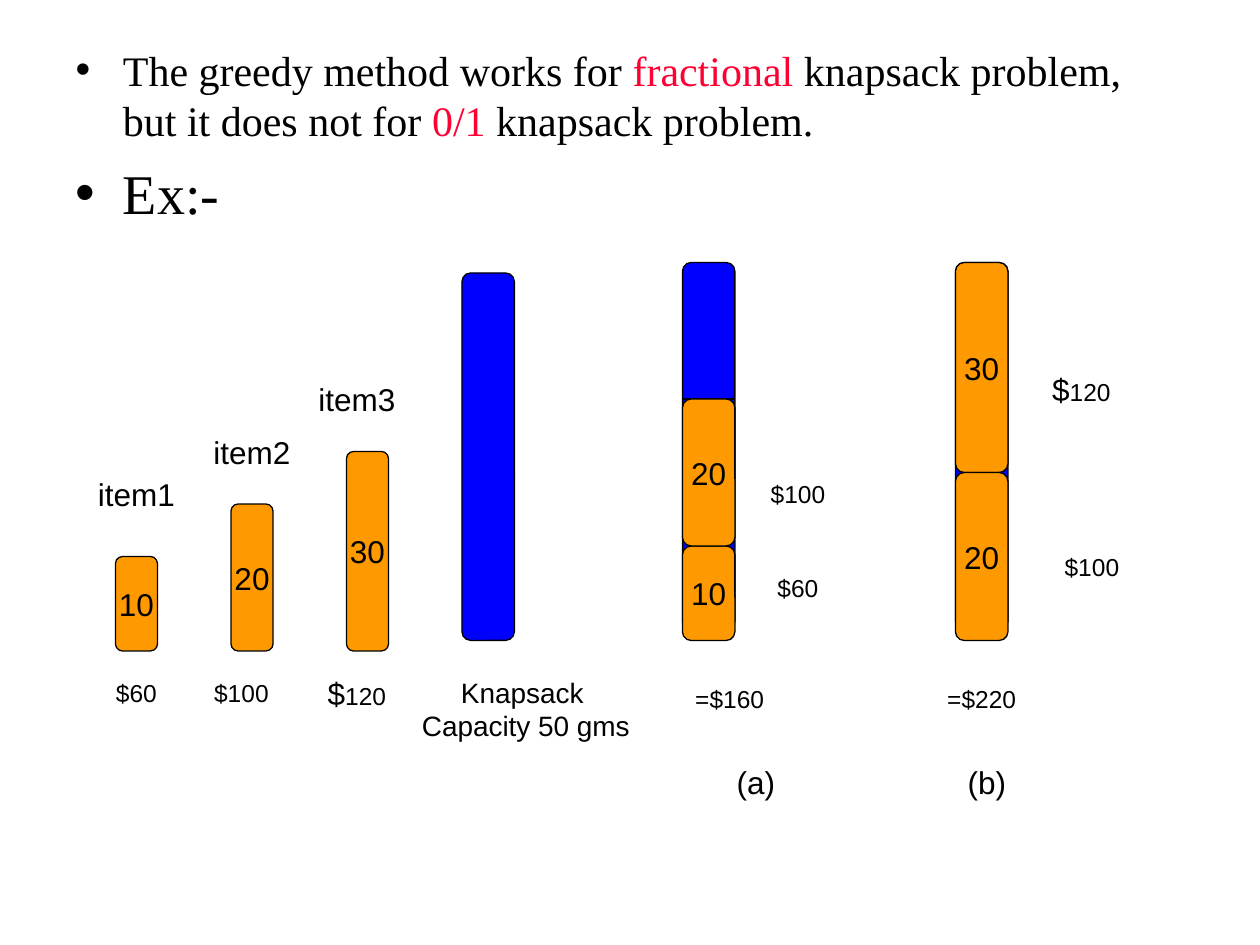
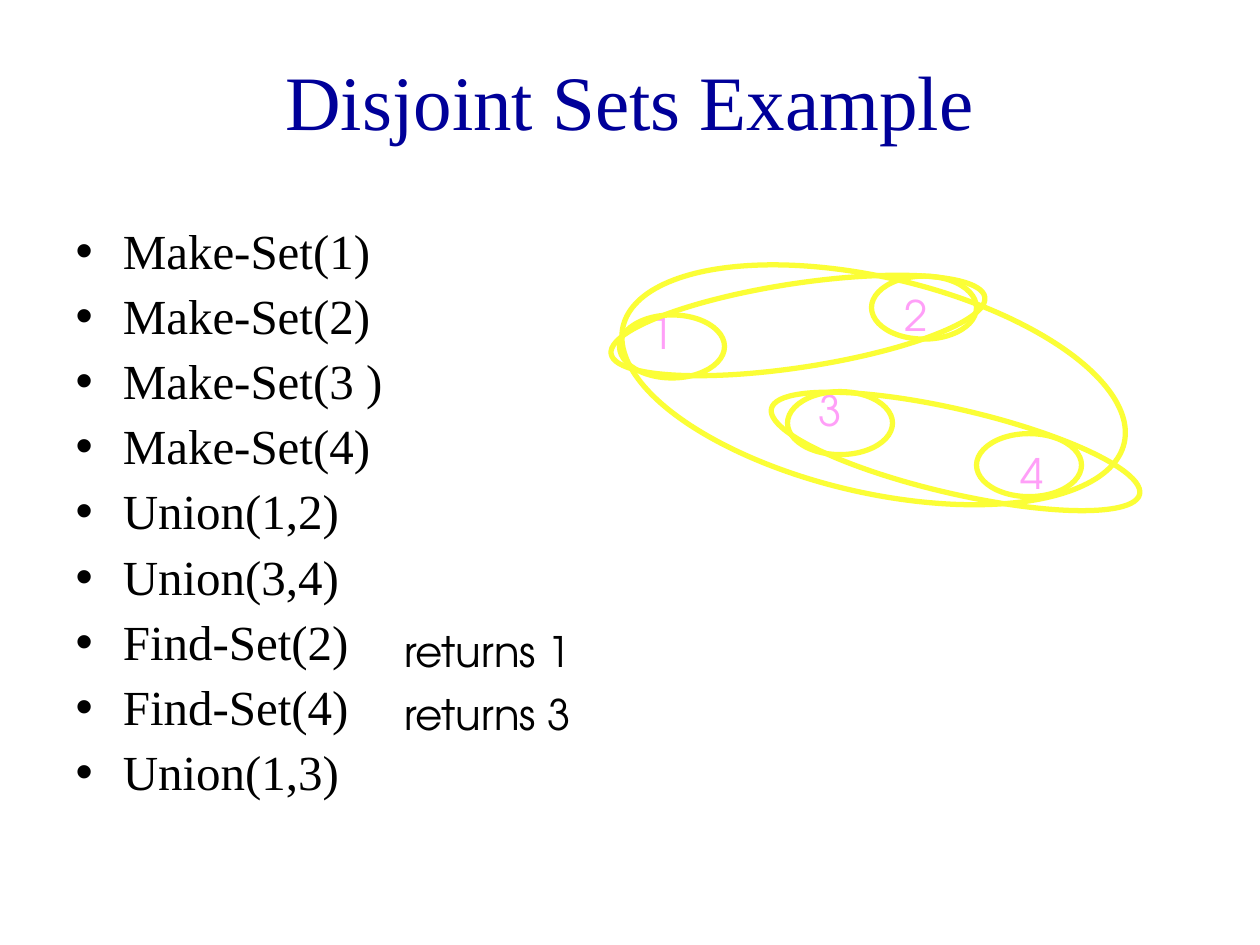
from lxml.etree import SubElement
from pptx import Presentation
from pptx.dml.color import RGBColor as Rgb
from pptx.enum.shapes import MSO_CONNECTOR as Link, MSO_SHAPE as Form
from pptx.enum.text import MSO_ANCHOR as Anchor, MSO_AUTO_SIZE as Auto, PP_ALIGN as Align
from pptx.oxml.ns import qn
from pptx.util import Inches, Pt

COLS, ROWS = 120, 90
HUES = {"black": "000000", "white": "FFFFFF", "red": "FF0033", "navy": "000099",
        "blue": "0000FF", "orange": "FF9900", "yellow": "FBFE36", "pink": "FF9FF8"}
SERIF, SANS, GEO = "Times New Roman", "Arial", "TeX Gyre Adventor"


def hue(name):
    return Rgb.from_string(HUES[name])


class Deck:
    """Holds the style and the current slide; spots are (column, row, columns, rows)."""

    def __init__(self):
        self.file = Presentation()
        self.file.slide_width, self.file.slide_height = Inches(10), Inches(7.5)
        self.page = None

    def add(self):
        self.page = self.file.slides.add_slide(self.file.slide_layouts[1])

    def grid(self, spot):
        """Turn columns and rows into lengths."""
        steps = (self.file.slide_width / COLS, self.file.slide_height / ROWS) * 2
        return [round(n * step) for n, step in zip(spot, steps)]

    def place(self, shape, spot):
        shape.left, shape.top, shape.width, shape.height = self.grid(spot)
        shape.text_frame.auto_size = Auto.NONE

    def style(self, para, size, face, color="black"):
        para.font.size, para.font.name = Pt(size), face
        para.font.color.rgb = hue(color)

    def title(self, text, spot):
        head = self.page.shapes.title
        self.place(head, spot)
        head.text_frame.text = text
        self.style(head.text_frame.paragraphs[0], 44, SERIF, "navy")

    def drop_title(self):
        head = self.page.shapes.title.element
        head.getparent().remove(head)

    def body(self, items, spot, gap, line=1.0):
        """Fill the list from (text, size) pairs; words between stars are red."""
        box = self.page.placeholders[1]
        self.place(box, spot)
        frame = box.text_frame
        for i, (text, size) in enumerate(items):
            para = frame.add_paragraph() if i else frame.paragraphs[0]
            para.space_before, para.line_spacing = Pt(gap if i else 0), line
            self.style(para, size, SERIF)
            for j, part in enumerate(text.split("*")):
                run = para.add_run()
                run.text = part
                if j % 2:
                    run.font.color.rgb = hue("red")

    def shape(self, form, spot, fill, line, width=0.75):
        item = self.page.shapes.add_shape(form, *self.grid(spot))
        item.shadow.inherit = False
        if fill:
            item.fill.solid()
            item.fill.fore_color.rgb = hue(fill)
        else:
            item.fill.background()
        item.line.color.rgb, item.line.width = hue(line), Pt(width)
        return item

    def letter(self, item, text, size, align=Align.CENTER):
        frame = item.text_frame
        frame.word_wrap, frame.vertical_anchor = False, Anchor.MIDDLE
        frame.text = text
        for para in frame.paragraphs:
            para.alignment = align
            self.style(para, size, SANS)
        return frame.paragraphs

    def bar(self, spot, text="", fill="orange"):
        item = self.shape(Form.ROUNDED_RECTANGLE, spot, fill, "black")
        if text:
            self.letter(item, text, 18)

    def label(self, text, spot, size=18, align=Align.CENTER):
        item = self.shape(Form.RECTANGLE, spot, "white", "white")
        return self.letter(item, text, size, align)

    def price(self, text, spot, big=False):
        """Show a price; a big one has a larger dollar sign."""
        para = self.label(text[:1] if big else text, spot, 14)[0]
        if big:
            para.runs[0].font.size = Pt(18)
            para.add_run().text = text[1:]

    def rule(self, left, row, wide):
        x, y, far, _ = self.grid((left, row, left + wide, row))
        line = self.page.shapes.add_connector(Link.STRAIGHT, x, y, far, y)
        line.line.color.rgb, line.line.width = hue("black"), Pt(0.75)
        SubElement(line._element.spPr, qn("a:effectLst"))

    def oval(self, spot, turn=0):
        self.shape(Form.OVAL, spot, None, "yellow", 3).rotation = turn

    def note(self, text, spot, color="black"):
        box = self.page.shapes.add_textbox(*self.grid(spot))
        box.text_frame.word_wrap = False
        box.text_frame.text = text
        self.style(box.text_frame.paragraphs[0], 24, GEO, color)


def knapsack(deck):
    deck.add()
    deck.drop_title()
    deck.body([("The greedy method works for *fractional* knapsack problem, "
                "but it does not for *0/1* knapsack problem.", 24), ("Ex:-", 32)],
              (6, 3.6, 108, 59.4), 8)

    base = 62
    items = [("10", 11, 9, "$60", 10, 10, 45), ("20", 22, 14, "$100", 20, 21, 41),
             ("30", 33, 19, "$120", 31, 31, 36)]
    for i, (load, left, tall, cost, under, over, row) in enumerate(items, 1):
        deck.bar((left, base - tall, 4, tall), load)
        deck.label(f"item{i}", (over, row, 6, 4))
        deck.price(cost, (under, 64, 6, 4), cost == "$120")

    deck.bar((44, 26, 5, 35), fill="blue")
    name = deck.label("Knapsack\nCapacity 50 gms", (39, 65, 21, 5), 16, Align.LEFT)[0]
    name._p.get_or_add_pPr().set("marL", str(Inches(0.31)))

    sacks = [(65, [("10", 52, 9), ("20", 38, 14)], "=$160", 65, "(a)", 69),
             (91, [("30", 25, 20), ("20", 45, 16)], "=$220", 89, "(b)", 91)]
    for left, loads, total, under, tag, foot in sacks:
        deck.bar((left, 25, 5, 35), fill="blue")
        if tag == "(a)":
            for row in (51, 38):
                deck.rule(left, row, 5)
        for load, top, tall in loads:
            deck.bar((left, top, 5, tall), load)
        deck.price(total, (under, 64, 9, 5))
        deck.label(tag, (foot, 72, 6, 5))

    for cost, left, row in [("$100", 73, 45), ("$60", 73, 54),
                            ("$100", 101, 52), ("$120", 100, 35)]:
        deck.price(cost, (left, row, 6, 4), cost == "$120")


def sets(deck):
    deck.add()
    deck.title("Disjoint Sets Example", (9, 2, 102, 15))
    calls = ["Make-Set(1)", "Make-Set(2)", "Make-Set(3 )", "Make-Set(4)", "Union(1,2)",
             "Union(3,4)", "Find-Set(2)", "Find-Set(4)", "Union(1,3)"]
    deck.body([(call, 28) for call in calls], (6, 21, 37.3, 59.4), 7, 0.9)

    nodes = [("2", 85, 27, 83, 26.3), ("1", 60.8, 28.7, 59, 30),
             ("3", 76.8, 36, 75, 37.3), ("4", 96, 42, 93, 41.3)]
    for digit, x, y, left, top in nodes:
        deck.note(digit, (x, y, 4.7, 6), "pink")
        deck.oval((left, top, 10, 6))
    deck.oval((58, 27, 36, 8), 351.4)
    deck.oval((73, 39, 36, 8), 13.1)
    for i, root in enumerate("13"):
        deck.note(f"returns {root}", (37.3, 59 + 6 * i, 19.6, 6))
    deck.oval((58.7, 26.4, 49, 20.5), 13.1)


def main():
    deck = Deck()
    knapsack(deck)
    sets(deck)
    deck.file.save("out.pptx")


if __name__ == "__main__":
    main()
